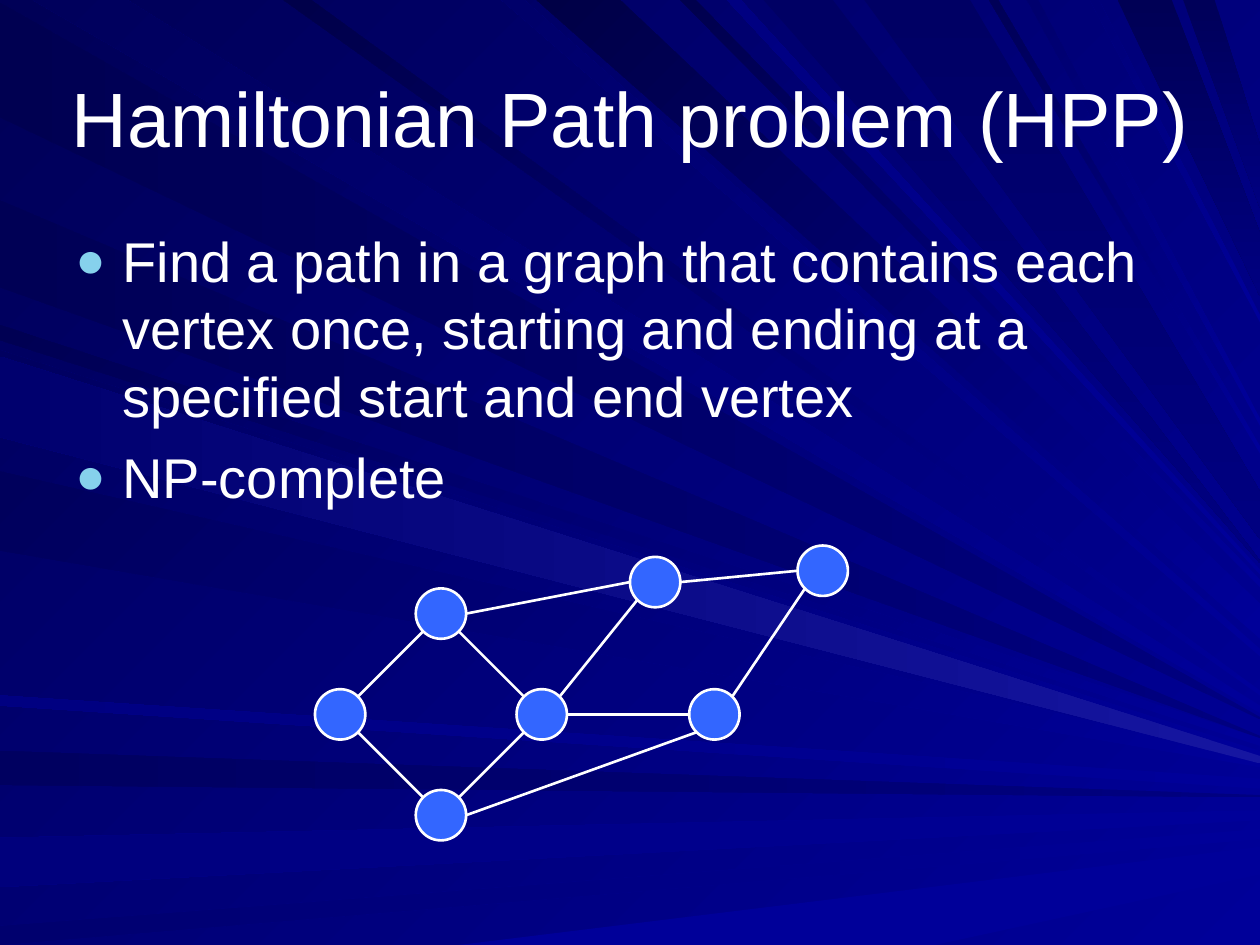
import math

import lxml.etree
import pptx
import pptx.dml.color
import pptx.enum.shapes
import pptx.enum.text
import pptx.oxml.ns
import pptx.util

WIDTH, HEIGHT = 10, 7.5
WHITE = "FFFFFF"
NODE_BLUE = "3366FF"
BULLET_BLUE = "86D1EC"
DEEP, NAVY, GLOW = "000099", "000080", "1616A1"
FONT = "Arial"
NODE_RADIUS = 0.2

RAY_GROUPS = [
    ("left", NAVY, 180, 0.01, [
        (0.02, 0.93, 5.7, "000051"), (5.96, 6.23, 6.32, "000060"), (1.59, 2.28, 5.85, "000055")]),
    ("left", DEEP, 180, 0.04, [
        (6.65, 7.04, 6.47, "00007C"), (7.35, 7.5, 6.62, "00006E"), (5.52, 5.6, 6.22, "000081")]),
    ("bottom", DEEP, 180, 0.11, [(3.64, 7.42, 6.83, DEEP)]),
    ("top", DEEP, 225, 0.03, [
        (0.26, 1.01, 5.63, "00005C"), (3.98, 4.16, 5.18, "00006A"), (5.4, 5.52, 4.63, "00004E")]),
    ("top", DEEP, 225, 0.14, [(4.26, 4.92, 4.93, "000046")]),
    ("top", NAVY, 90, 0.01, [(6.06, 6.61, 4.46, "000064")]),
    ("top", NAVY, 90, 0.25, [(8.87, 9.3, 2.1, "000055"), (9.39, 9.64, 1.4, "000059")]),
    ("left", DEEP, 225, 0.03, [
        (2.58, 2.7, 5.89, "000053"), (2.78, 3.42, 5.99, "000060"), (3.74, 4.37, 6.06, "00005C")]),
    ("top", DEEP, 225, 0.02, [(2.25, 2.47, 5.5, "00004A"), (5.77, 5.88, 4.54, "000081")]),
    ("top", NAVY, 90, 0.19, [(6.86, 7.7, 4.09, "000064")]),
    ("top", DEEP, 225, 0.03, [
        (7.85, 7.92, 3.57, "000057"), (8.15, 8.24, 3.35, "00006E"), (8.65, 8.72, 2.53, "000078")]),
    ("left", GLOW, 180, 0.03, [(2.83, 3.47, 6.03, "00006E")]),
]

VERTICES = {
    "centre": (4.3, 5.67),
    "left": (2.7, 5.67),
    "upper": (3.5, 4.87),
    "lower": (3.5, 6.47),
    "right": (5.67, 5.67),
    "top": (5.2, 4.62),
    "far": (6.53, 4.53),
}

SITE_ANGLES = {"E": 0, "SE": 45, "SW": 135, "W": 180, "NW": 225, "NE": 315}

EDGES = [
    ("upper", "SW", "left", "NE"),
    ("lower", "NW", "left", "SE"),
    ("lower", "NE", "centre", "SW"),
    ("upper", "SE", "centre", "NW"),
    ("centre", "E", "right", "W"),
    ("right", "NE", "far", "SW"),
    ("lower", "E", "right", "SW"),
    ("top", "E", "far", "W"),
    ("centre", "NE", "top", "SW"),
    ("upper", "E", "top", "W"),
]

STATEMENTS = [
    "Find a path in a graph that contains each vertex once, "
    "starting and ending at a specified start and end vertex",
    "NP-complete",
]


def from_inches(*lengths):
    return [pptx.util.Cm(2.54 * length) for length in lengths]


def color(hex_code):
    return pptx.dml.color.RGBColor.from_string(hex_code)


def paint(fill, first, last, clockwise_angle):
    if first == last:
        fill.solid()
        fill.fore_color.rgb = color(first)
        return
    fill.gradient()
    fill.gradient_angle = 360 - clockwise_angle
    for stop, hex_code, position in zip(fill.gradient_stops, (first, last), (0, 1)):
        stop.color.rgb = color(hex_code)
        stop.position = position


def outline(line):
    line.color.rgb = color(WHITE)
    line.width = pptx.util.Pt(1.5)


def edge_point(side, distance):
    return {"left": (0, distance), "top": (distance, 0), "bottom": (distance, HEIGHT)}[side]


def add_ray(slide, side, light, clockwise_angle, tip_spread, near, far, tip, dark):
    upper_tip, lower_tip = (WIDTH, tip - tip_spread), (WIDTH, tip + tip_spread)
    tips = (upper_tip, lower_tip) if side == "top" else (lower_tip, upper_tip)
    corners = [edge_point(side, far), *tips, edge_point(side, near)]
    if side == "bottom":
        corners[1:3] = reversed(tips)
        corners[1:3] = corners[2:0:-1]
    start, *others = [from_inches(*corner) for corner in corners]
    builder = slide.shapes.build_freeform(*start)
    builder.add_line_segments(others, close=True)
    ray = builder.convert_to_shape()
    ray.shadow.inherit = False
    stops = (dark, light) if clockwise_angle == 90 else (light, dark)
    paint(ray.fill, *stops, clockwise_angle)
    ray.line.fill.background()


def add_vertex(slide, x, y):
    size = 2 * NODE_RADIUS
    vertex = slide.shapes.add_shape(
        pptx.enum.shapes.MSO_SHAPE.OVAL,
        *from_inches(x - NODE_RADIUS, y - NODE_RADIUS, size, size))
    vertex.shadow.inherit = False
    paint(vertex.fill, NODE_BLUE, NODE_BLUE, 0)
    outline(vertex.line)


def rim_point(vertex, site):
    x, y = VERTICES[vertex]
    angle = math.radians(SITE_ANGLES[site])
    return from_inches(x + NODE_RADIUS * math.cos(angle), y + NODE_RADIUS * math.sin(angle))


def add_edge(slide, source, source_site, target, target_site):
    edge = slide.shapes.add_connector(
        pptx.enum.shapes.MSO_CONNECTOR.STRAIGHT,
        *rim_point(source, source_site), *rim_point(target, target_site))
    outline(edge.line)
    lxml.etree.SubElement(edge._element.spPr, pptx.oxml.ns.qn("a:effectLst"))


def add_bullet(paragraph):
    properties = paragraph._p.get_or_add_pPr()
    indent = pptx.util.Cm(0.95)
    properties.set("marL", str(indent))
    properties.set("indent", str(-indent))
    bullet_color = lxml.etree.SubElement(properties, pptx.oxml.ns.qn("a:buClr"))
    lxml.etree.SubElement(bullet_color, pptx.oxml.ns.qn("a:srgbClr"), val=BULLET_BLUE)
    lxml.etree.SubElement(properties, pptx.oxml.ns.qn("a:buSzPct"), val="90000")
    lxml.etree.SubElement(properties, pptx.oxml.ns.qn("a:buFont"), typeface=FONT)
    lxml.etree.SubElement(properties, pptx.oxml.ns.qn("a:buChar"), char="●")


def add_text(slide, box, lines, size):
    frame = slide.shapes.add_textbox(*from_inches(*box)).text_frame
    frame.word_wrap = True
    frame.text = "\n".join(lines)
    for paragraph in frame.paragraphs:
        for run in paragraph.runs:
            run.font.name = FONT
            run.font.size = pptx.util.Pt(size)
            run.font.color.rgb = color(WHITE)
    return frame


def main():
    deck = pptx.Presentation()
    deck.slide_width, deck.slide_height = from_inches(WIDTH, HEIGHT)
    slide = deck.slides.add_slide(deck.slide_layouts[6])
    paint(slide.background.fill, DEEP, "000057", 225)
    for *style, rays in RAY_GROUPS:
        for ray in rays:
            add_ray(slide, *style, *ray)

    title = add_text(slide, (0.42, 0.3, 9.17, 1.25), ["Hamiltonian Path problem (HPP)"], 44)
    title.vertical_anchor = pptx.enum.text.MSO_ANCHOR.MIDDLE
    title.paragraphs[0].alignment = pptx.enum.text.PP_ALIGN.CENTER

    body = add_text(slide, (0.5, 1.75, 9, 4.92), STATEMENTS, 32)
    for paragraph in body.paragraphs:
        add_bullet(paragraph)
    body.paragraphs[1].space_before = pptx.util.Pt(8)

    for center in VERTICES.values():
        add_vertex(slide, *center)
    for edge in EDGES:
        add_edge(slide, *edge)

    deck.save("out.pptx")


if __name__ == "__main__":
    main()
